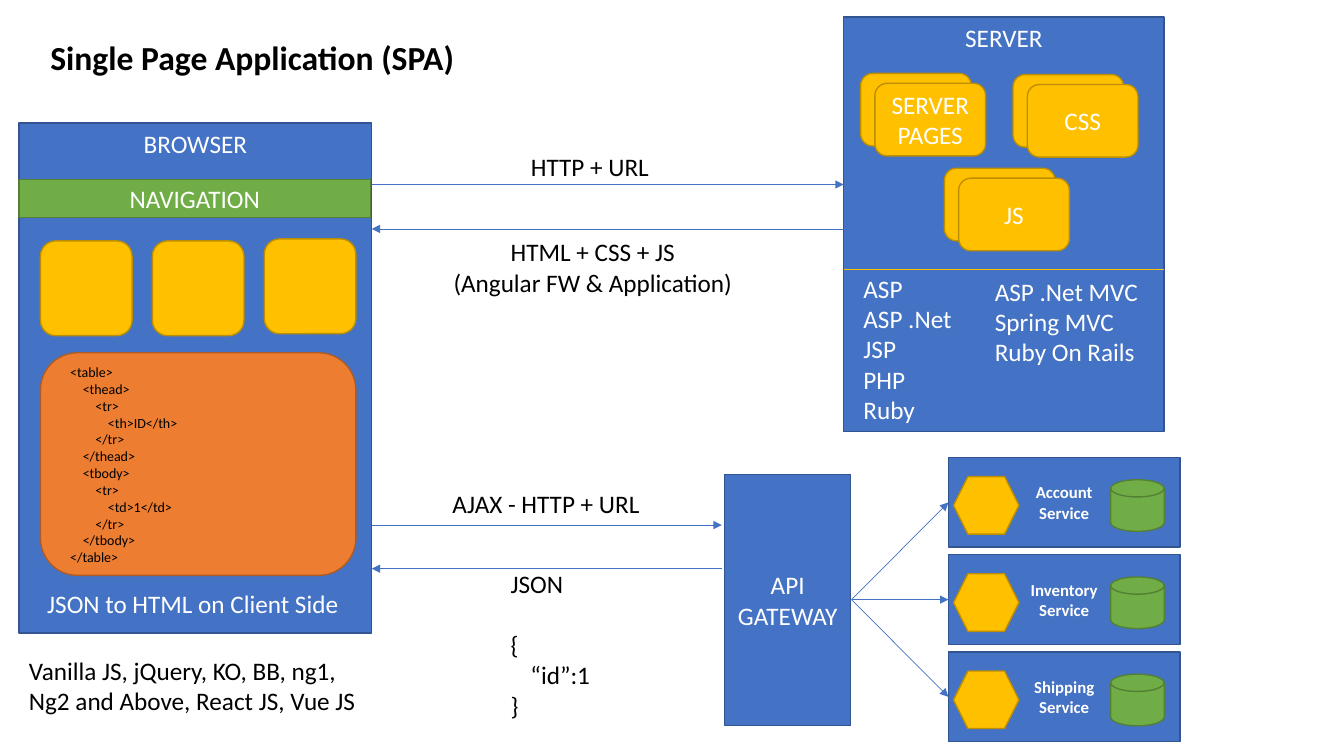
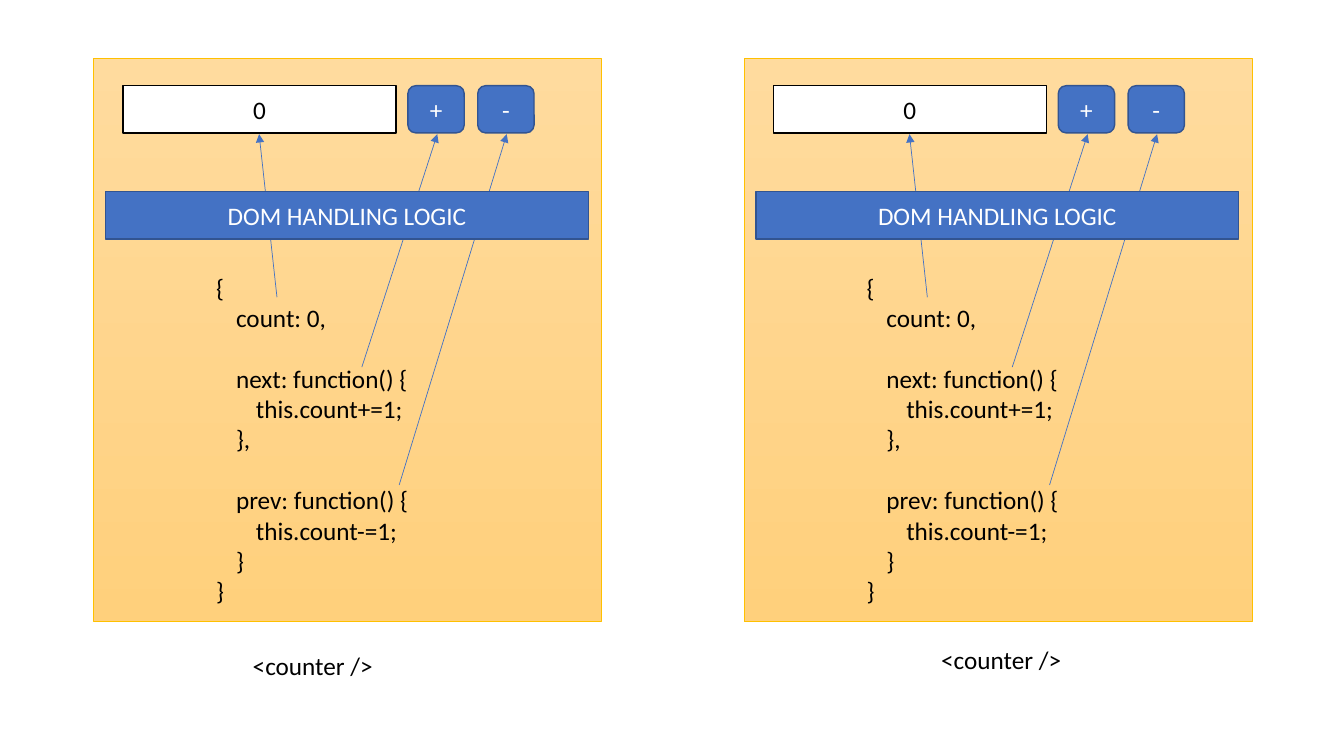
from lxml.etree import SubElement
from pptx import Presentation
from pptx.dml.color import RGBColor
from pptx.enum.shapes import MSO_CONNECTOR, MSO_SHAPE
from pptx.enum.text import MSO_ANCHOR, MSO_AUTO_SIZE, PP_ALIGN
from pptx.oxml.ns import qn
from pptx.util import Cm, Pt

COLORS = {k: RGBColor.from_string(v) for k, v in {
    "blue": "4472C4", "blue_edge": "325491",
    "gold": "FFC000", "gold_edge": "BD8E00",
    "green": "70AD47", "green_edge": "538035",
    "orange": "ED7D31", "orange_edge": "AF5C24",
    "white": "FFFFFF", "white_edge": "000000",
    "black": "000000", "sand_top": "FFDB9E", "sand_bottom": "FFD07C",
}.items()}
FONT = {"name": "Calibri", "size": Pt(18), "bold": False}
TITLE = {"size": Pt(24), "bold": True}
SERVICE = {"size": Pt(12), "bold": True}
CODE = {"size": Pt(10)}
LINE_GAP = Pt(22)
TAB = Cm(0.5)
RECT, ROUND = MSO_SHAPE.RECTANGLE, MSO_SHAPE.ROUNDED_RECTANGLE
TOP, MIDDLE = MSO_ANCHOR.TOP, MSO_ANCHOR.MIDDLE
LEFT, CENTER = PP_ALIGN.LEFT, PP_ALIGN.CENTER


def add_box(s, at, text="", shape=None, fill=None, color="white", font={},
            anchor=MIDDLE, align=CENTER, wrap=True):
    dims = [Cm(v) for v in at]
    if shape is None:
        sp = s.shapes.add_textbox(*dims)
        anchor = TOP
    else:
        sp = s.shapes.add_shape(shape, *dims)
        sp.shadow.inherit = False
        if fill == "sand":
            sp.fill.gradient()
            sp.fill.gradient_angle = 270
            for stop, name in zip(sp.fill.gradient_stops, ("sand_top", "sand_bottom")):
                stop.color.rgb = COLORS[name]
            sp.line.color.rgb, sp.line.width = COLORS["gold"], Pt(0.5)
        else:
            sp.fill.solid()
            sp.fill.fore_color.rgb = COLORS[fill]
            sp.line.color.rgb, sp.line.width = COLORS[fill + "_edge"], Pt(1)
    if not text:
        return
    tf = sp.text_frame
    tf.word_wrap, tf.vertical_anchor = wrap, anchor
    if shape is None:
        tf.auto_size = MSO_AUTO_SIZE.SHAPE_TO_FIT_TEXT
    p, gap = tf.paragraphs[0], False
    for i, line in enumerate(text.split("\n")):
        if not line:
            gap = True
            continue
        if i:
            p = tf.add_paragraph()
        p.alignment = align
        level = line.count("\t")
        if level:
            p._p.get_or_add_pPr().set("marL", str(TAB * level))
        if gap:
            p.space_before, gap = LINE_GAP, False
        r = p.add_run()
        r.text = line.lstrip("\t")
        r.font.color.rgb = COLORS[color]
        for k, v in {**FONT, **font}.items():
            setattr(r.font, k, v)


def add_line(s, x1, y1, x2, y2, color="blue", arrow=True):
    c = s.shapes.add_connector(MSO_CONNECTOR.STRAIGHT, Cm(x1), Cm(y1), Cm(x2), Cm(y2))
    c.line.color.rgb, c.line.width = COLORS[color], Pt(0.5)
    if arrow:
        SubElement(c.line._get_or_add_ln(), qn("a:tailEnd"), type="triangle")
    SubElement(c._element.spPr, qn("a:effectLst"))


prs = Presentation()
prs.slide_width, prs.slide_height = Cm(33.87), Cm(19.05)
label = {"color": "black", "align": LEFT, "wrap": False}

s = prs.slides.add_slide(prs.slide_layouts[6])
add_box(s, (1.02, 0.81, 10.8, 1.27), "Single Page Application (SPA)", font=TITLE, **label)

add_box(s, (21.26, 0.43, 8.08, 10.44), "SERVER", RECT, "blue", anchor=TOP)
add_box(s, (21.51, 6.76, 2.77, 4.11), "ASP\nASP .Net\nJSP\nPHP\nRuby", align=LEFT, wrap=False)
add_box(s, (24.82, 6.83, 4.52, 2.57), "ASP .Net MVC\nSpring MVC\nRuby On Rails", align=LEFT)
for x, y, text in ((21.69, 1.85, "SERVER PAGES"), (25.53, 1.88, "CSS"), (23.8, 4.24, "JS")):
    add_box(s, (x, y, 2.79, 1.83), "", ROUND, "gold")
    add_box(s, (x + 0.36, y + 0.25, 2.79, 1.83), text, ROUND, "gold")
add_line(s, 21.26, 6.78, 29.34, 6.78, "gold", arrow=False)

add_box(s, (0.48, 3.1, 8.89, 12.85), "BROWSER", RECT, "blue", anchor=TOP)
add_box(s, (0.48, 4.52, 8.86, 0.97), "NAVIGATION", RECT, "green")
for i, y in enumerate((6.07, 6.07, 6.02)):
    add_box(s, (1.02 + 2.82 * i, y, 2.31, 2.39), "", ROUND, "gold")
add_box(s, (1.02, 8.89, 7.95, 5.61), "", ROUND, "orange")
html = """<table>
    <thead>
        <tr>
            <th>ID</th>
        </tr>
    </thead>
    <tbody>
        <tr>
            <td>1</td>
        </tr>
    </tbody>
</table>"""
add_box(s, (1.52, 9.04, 6.2, 5.38), html, color="black", font=CODE, align=LEFT)
add_box(s, (0.94, 14.71, 7.95, 1.02), "JSON to HTML on Client Side", align=LEFT, wrap=False)
add_box(s, (0.48, 16.38, 8.84, 1.8),
        "Vanilla JS, jQuery, KO, BB, ng1,\nNg2 and Above, React JS, Vue JS", **label)

for x1, x2, y in ((9.37, 21.26, 4.65), (21.26, 9.37, 5.77),
                  (9.37, 18.19, 13.23), (18.19, 9.37, 14.33)):
    add_line(s, x1, y, x2, y)
add_box(s, (13.13, 3.68, 3.53, 1.02), "HTTP + URL", **label)
add_box(s, (11.13, 5.84, 7.62, 1.8), "HTML + CSS + JS\n(Angular FW & Application)",
        color="black", wrap=False)
add_box(s, (11.15, 12.19, 5.28, 1.02), "AJAX - HTTP + URL", **label)
add_box(s, (12.62, 14.2, 2.54, 4.11), "JSON\n\n{\n\t“id”:1\n}", **label)

add_box(s, (18.26, 11.96, 3.18, 6.32), "API GATEWAY", RECT, "blue")
for i, name in enumerate(("Account", "Inventory", "Shipping")):
    y = 11.53 + 2.45 * i
    add_box(s, (23.9, y, 5.84, 2.26), name + "\nService", RECT, "blue", font=SERVICE)
    add_box(s, (24.03, y + 0.48, 1.65, 1.45), "", MSO_SHAPE.HEXAGON, "gold")
    add_box(s, (27.99, y + 0.56, 1.35, 1.3), "", MSO_SHAPE.FLOWCHART_MAGNETIC_DISK, "green")
    add_line(s, 21.46, 15.11, 23.9, y + 1.13)

s = prs.slides.add_slide(prs.slide_layouts[6])
counter = """{
\tcount: 0,

\tnext: function() {
\t\tthis.count+=1;
\t},

\tprev: function() {
\t\tthis.count-=1;
\t}
}"""
for x, tag_x, tag_y in ((2.36, 6.12, 16.26), (18.75, 23.47, 16.1)):
    add_box(s, (x, 1.47, 12.8, 14.2), "", RECT, "sand")
    add_box(s, (x + 0.74, 2.16, 6.88, 1.19), "0", RECT, "white", color="black")
    for dx, sign in ((7.92, "+"), (9.68, "-")):
        add_box(s, (x + dx, 2.16, 1.42, 1.19), sign, ROUND, "blue")
    add_box(s, (x + 2.84, 6.73, 5.44, 8.71), counter, **label)
    for x1, y1, x2 in ((4.62, 7.49, 4.17), (6.76, 9.25, 8.66), (7.7, 12.22, 10.41)):
        add_line(s, x + x1, y1, x + x2, 3.38)
    add_box(s, (x + 0.3, 4.83, 12.17, 1.19), "DOM HANDLING LOGIC", RECT, "blue")
    add_box(s, (tag_x, tag_y, 3.58, 1.02), "<counter />", **label)

prs.save("out.pptx")
